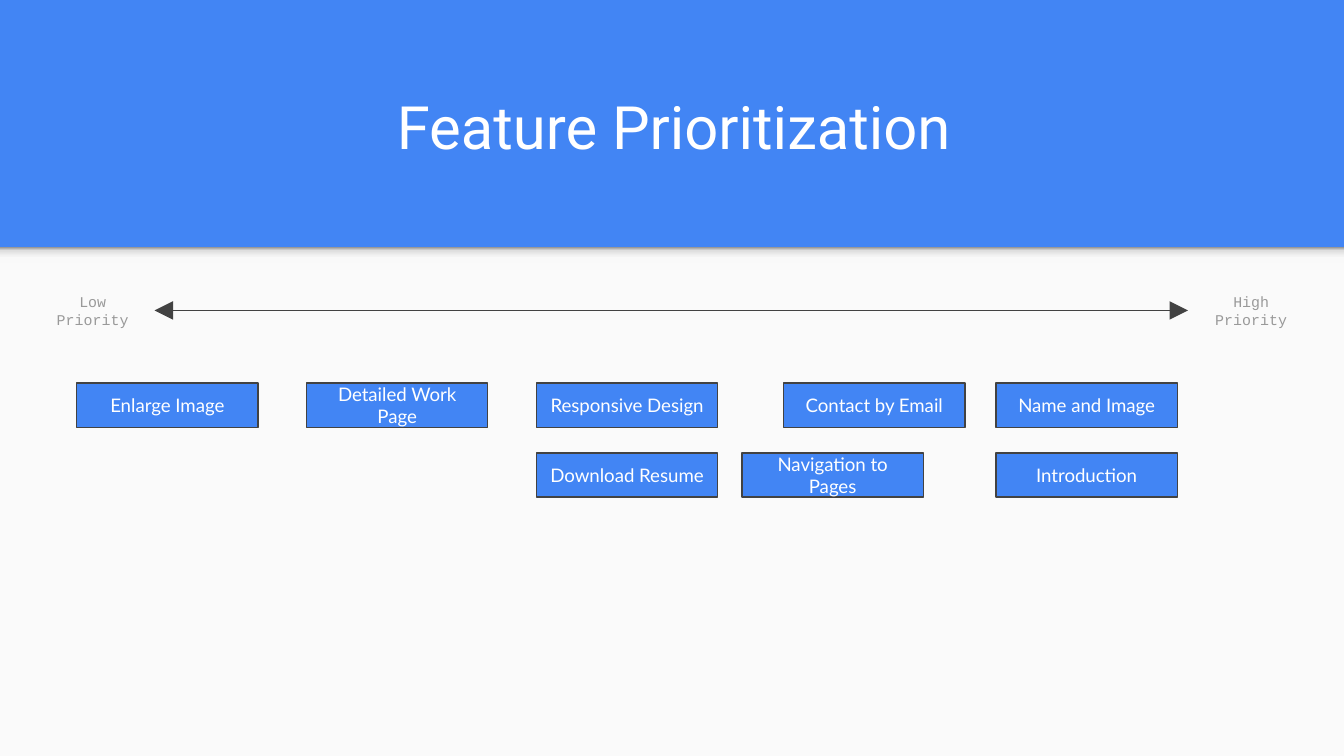
from lxml import etree
from pptx import Presentation
from pptx.dml.color import RGBColor
from pptx.enum.shapes import MSO_CONNECTOR, MSO_SHAPE
from pptx.enum.text import MSO_ANCHOR, PP_ALIGN
from pptx.oxml import parse_xml
from pptx.oxml.ns import nsdecls, qn
from pptx.util import Inches, Pt

# Content: each feature with its left edge on the priority scale, row by row
TITLE = "Feature Prioritization"
LOW_LABEL, HIGH_LABEL = "Low Priority", "High Priority"
FEATURE_ROWS = [
    [("Enlarge Image", 0.57), ("Detailed Work Page", 2.28), ("Responsive Design", 3.99),
     ("Contact by Email", 5.83), ("Name and Image", 7.41)],
    [("Download Resume", 3.99), ("Navigation to Pages", 5.52), ("Introduction", 7.41)],
]

BLUE = RGBColor(0x42, 0x85, 0xF4)
PAPER = RGBColor(0xFA, 0xFA, 0xFA)
WHITE = RGBColor(0xFF, 0xFF, 0xFF)
DARK_GRAY = RGBColor(0x42, 0x42, 0x42)
GRAY = RGBColor(0x99, 0x99, 0x99)
SHADE_STOPS = [(0, "F9F9F9"), (36, "F9F9F9"), (80, "DEDEDE"), (100, "999999")]

WIDTH = 10
HEIGHT = WIDTH * 9 / 16
HEADER_HEIGHT, SHADE_HEIGHT = 1.84, 0.12
LABEL_TOP, LABEL_HEIGHT = 2.13, 0.36
LOW_LEFT, LOW_WIDTH = 0.23, 0.92
HIGH_LEFT, HIGH_WIDTH = 8.84, 0.94
ROW_TOP, ROW_STEP = 2.85, 0.52
BOX_WIDTH, BOX_HEIGHT = 1.35, 0.33

presentation = Presentation()
presentation.slide_width, presentation.slide_height = Inches(WIDTH), Inches(HEIGHT)
slide = presentation.slides.add_slide(presentation.slide_layouts[6])
slide.background.fill.solid()
slide.background.fill.fore_color.rgb = BLUE


def add_rectangle(left, top, width, height, color, line_color=None):
    shape = slide.shapes.add_shape(MSO_SHAPE.RECTANGLE, *map(Inches, (left, top, width, height)))
    shape.shadow.inherit = False
    shape.fill.solid()
    shape.fill.fore_color.rgb = color
    if line_color is None:
        shape.line.fill.background()
    else:
        shape.line.color.rgb = line_color
        shape.line.width = Pt(0.75)
    return shape


def write_text(shape, text, font_name, size, color, anchor=MSO_ANCHOR.MIDDLE):
    frame = shape.text_frame
    frame.word_wrap = True
    frame.vertical_anchor = anchor
    frame.margin_left = frame.margin_right = Inches(0.1)
    frame.margin_top = frame.margin_bottom = Inches(0.1)
    paragraph = frame.paragraphs[0]
    paragraph.text = text
    paragraph.alignment = PP_ALIGN.CENTER
    paragraph.font.name = font_name
    paragraph.font.size = Pt(size)
    paragraph.font.color.rgb = color


def add_text(left, top, width, height, *text_style):
    box = slide.shapes.add_textbox(*map(Inches, (left, top, width, height)))
    write_text(box, *text_style)
    return box


# Page below the header, with a soft shade along its top edge
add_rectangle(0, HEADER_HEIGHT, WIDTH, HEIGHT - HEADER_HEIGHT, PAPER)
shade = add_rectangle(0, HEADER_HEIGHT, WIDTH, SHADE_HEIGHT, PAPER)
stops = "".join(f'<a:gs pos="{share * 1000}"><a:srgbClr val="{color}"/></a:gs>'
                for share, color in SHADE_STOPS)
gradient = parse_xml(f'<a:gradFill {nsdecls("a")}><a:gsLst>{stops}</a:gsLst>'
                     '<a:lin ang="16200000" scaled="0"/></a:gradFill>')
shade_properties = shade.element.spPr
shade_properties.replace(shade_properties.find(qn("a:solidFill")), gradient)

# Title
add_text(0.52, 0.46, 8.99, 0.84, TITLE, "Roboto", 32, WHITE, MSO_ANCHOR.BOTTOM)

# Priority scale: two labels joined by a double-headed arrow
low, high = (add_text(left, LABEL_TOP, width, LABEL_HEIGHT, label, "Courier New", 8, GRAY)
             for label, left, width in [(LOW_LABEL, LOW_LEFT, LOW_WIDTH),
                                        (HIGH_LABEL, HIGH_LEFT, HIGH_WIDTH)])
arrow = slide.shapes.add_connector(MSO_CONNECTOR.STRAIGHT, 0, 0, 0, 0)
arrow.begin_connect(low, 3)
arrow.end_connect(high, 1)
arrow.line.color.rgb = DARK_GRAY
arrow.line.width = Pt(0.75)
arrow_properties = arrow.element.spPr
for end in ("a:headEnd", "a:tailEnd"):
    etree.SubElement(arrow_properties.find(qn("a:ln")), qn(end), type="triangle", w="lg", len="lg")
etree.SubElement(arrow_properties, qn("a:effectLst"))

# Feature boxes
for row, features in enumerate(FEATURE_ROWS):
    for name, left in features:
        box = add_rectangle(left, ROW_TOP + row * ROW_STEP, BOX_WIDTH, BOX_HEIGHT, BLUE, DARK_GRAY)
        write_text(box, name, "Lato", 10, WHITE)

presentation.save("out.pptx")
